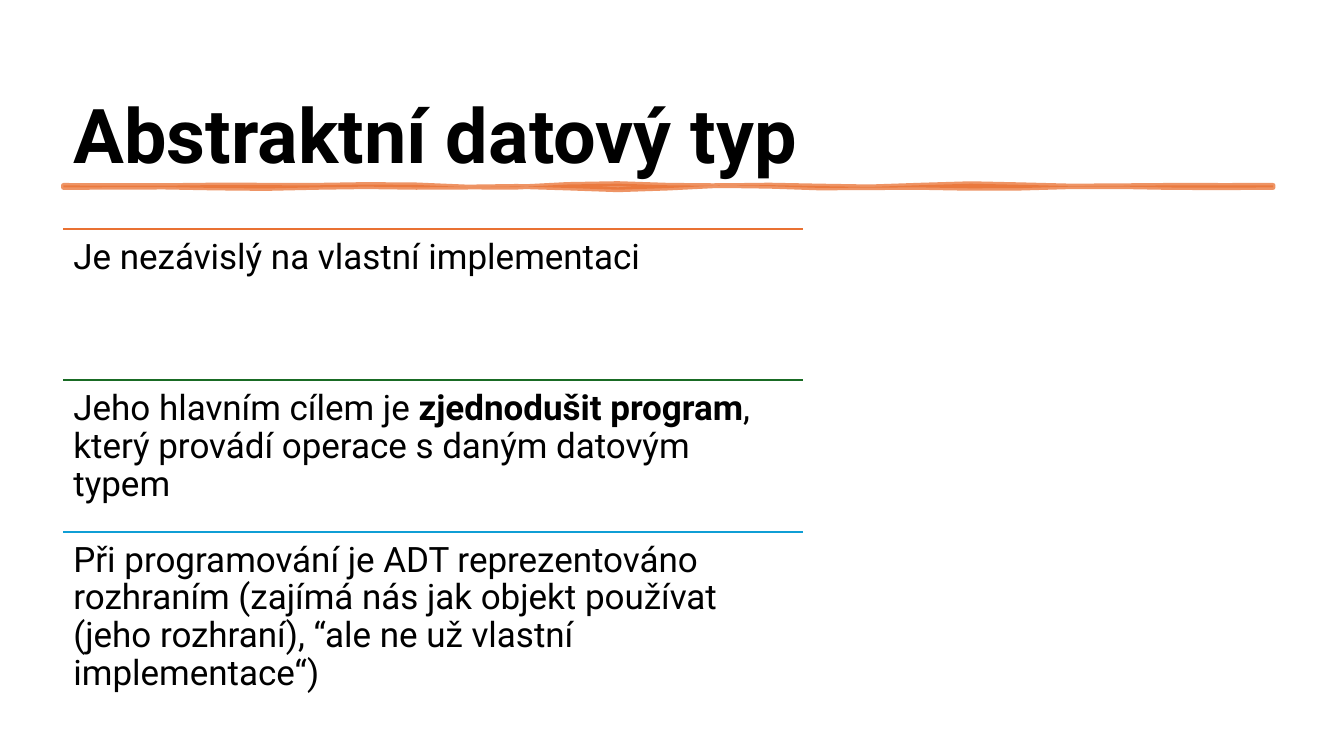
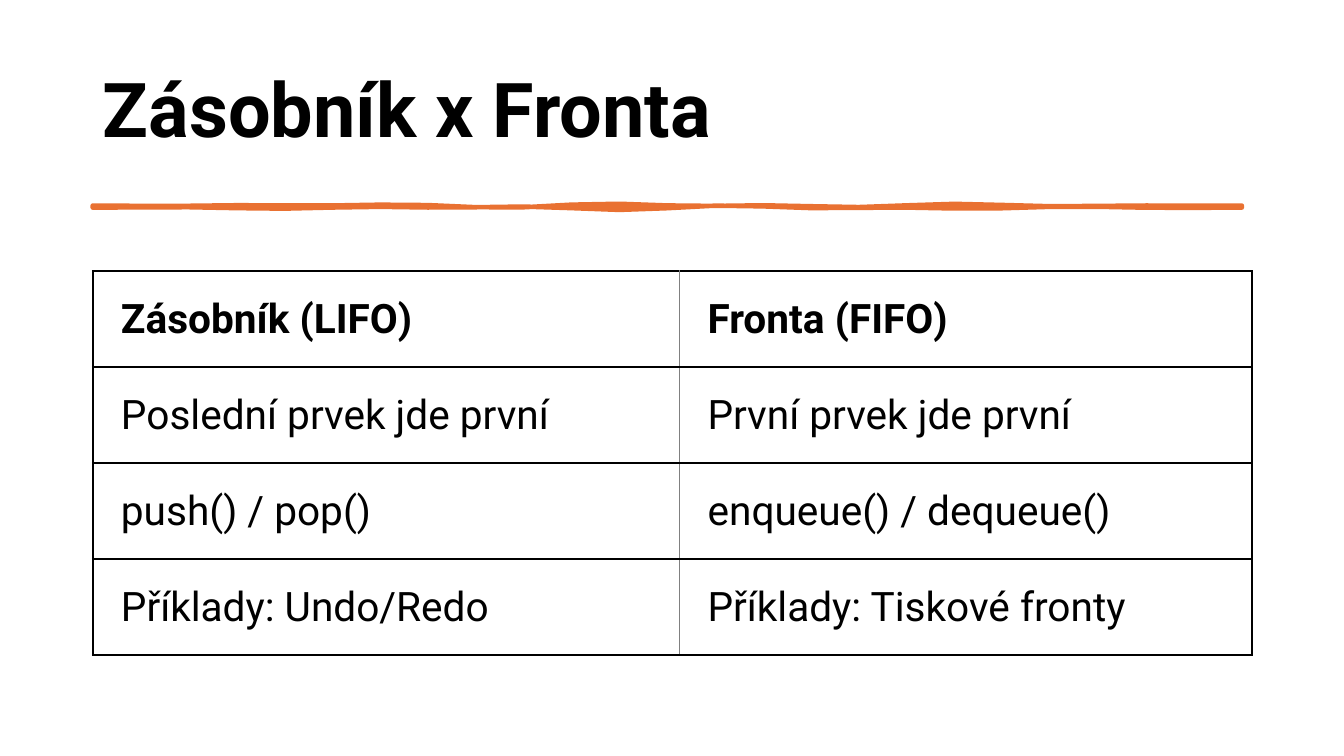
from math import pi, sin

from lxml.etree import SubElement
from pptx import Presentation
from pptx.dml.color import RGBColor
from pptx.enum.shapes import MSO_CONNECTOR
from pptx.enum.text import MSO_ANCHOR, MSO_AUTO_SIZE, PP_ALIGN
from pptx.oxml.ns import qn
from pptx.util import Inches, Pt

FONT = "Roboto"
BLACK = RGBColor(0x00, 0x00, 0x00)
GRAY = RGBColor(0x80, 0x80, 0x80)
ORANGE = RGBColor(0xE9, 0x71, 0x32)
GREEN = RGBColor(0x19, 0x6B, 0x24)
BLUE = RGBColor(0x0F, 0x9E, 0xD5)

# Each statement is a list of (text, bold) runs
STATEMENTS = [
    (ORANGE, [("Je nezávislý na vlastní implementaci", False)]),
    (GREEN, [("Jeho hlavním cílem je ", False),
             ("zjednodušit program", True),
             (", který provádí operace s daným datovým typem", False)]),
    (BLUE, [("Při programování je ADT reprezentováno rozhraním (zajímá nás "
             "jak objekt používat (jeho rozhraní), “ale ne už vlastní "
             "implementace“)", False)]),
]
COMPARISON = [
    ("Zásobník (LIFO)", "Fronta (FIFO)"),
    ("Poslední prvek jde první", "První prvek jde první"),
    ("push() / pop()", "enqueue() / dequeue()"),
    ("Příklady: Undo/Redo", "Příklady: Tiskové fronty"),
]


def inches(*values):
    return [Inches(v) for v in values]


def style_font(font, size, bold=False):
    font.name = FONT
    font.size = Pt(size)
    font.bold = bold
    font.color.rgb = BLACK


def add_title(s, text, box, anchor):
    title = s.shapes.title
    title.left, title.top, title.width, title.height = inches(*box)
    tf = title.text_frame
    tf.text = text
    tf.word_wrap = True
    tf.auto_size = MSO_AUTO_SIZE.NONE
    tf.vertical_anchor = anchor
    p = tf.paragraphs[0]
    p.alignment = PP_ALIGN.LEFT
    p.line_spacing = 0.9
    style_font(p.runs[0].font, 54, True)


def add_brush_rule(s, left, top, width, line_width, opacity=100):
    """Draw a hand-drawn stroke whose two edges waver independently."""
    steps = 24

    def edge(y, phase):
        return [(left + width * i / steps,
                 y + 0.012 * sin(pi * i / steps)
                 * (sin(i * 1.65 + phase) + sin(i * 0.95 + 2 * phase)))
                for i in range(steps + 1)]

    outline = edge(top, 0) + edge(top + 0.02, 2)[::-1]
    points = [tuple(inches(x, y)) for x, y in outline]
    builder = s.shapes.build_freeform(*points[0])
    builder.add_line_segments(points[1:], close=True)
    sp = builder.convert_to_shape()
    sp.shadow.inherit = False
    sp.fill.solid()
    sp.fill.fore_color.rgb = ORANGE
    sp.line.color.rgb = ORANGE
    sp.line.width = Pt(line_width)
    SubElement(sp.element.spPr.find(qn("a:ln")), qn("a:round"))
    if opacity < 100:
        for color in sp.element.spPr.iter(qn("a:srgbClr")):
            SubElement(color, qn("a:alpha"), val=str(opacity * 1000))


def add_statement(s, box, color, runs):
    left, top, width, height = inches(*box)
    line = s.shapes.add_connector(MSO_CONNECTOR.STRAIGHT, left, top,
                                  left + width, top)
    line.line.color.rgb = color
    line.line.width = Pt(1.5)
    SubElement(line.element.spPr, qn("a:effectLst"))

    tf = s.shapes.add_textbox(left, top, width, height).text_frame
    tf.word_wrap = True
    tf.margin_left = tf.margin_right = Inches(0.1)
    tf.margin_top = tf.margin_bottom = Inches(0.1)
    p = tf.paragraphs[0]
    p.line_spacing = 0.9
    for text, bold in runs:
        r = p.add_run()
        r.text = text
        style_font(r.font, 25, bold)


def add_statements(s, box, statements):
    left, top, width, height = box
    row = height / len(statements)
    for i, (color, runs) in enumerate(statements):
        add_statement(s, (left, top + i * row, width, row), color, runs)


def set_border(cell, side, color, width):
    ln = SubElement(cell._tc.get_or_add_tcPr(), qn(f"a:ln{side}"),
                    w=str(Pt(width)))
    fill = SubElement(ln, qn("a:solidFill"))
    SubElement(fill, qn("a:srgbClr"), val=str(color))


def format_cell(cell, text, column, last_column, bold):
    cell.margin_left, cell.margin_right = inches(0.28, 1.07)
    cell.margin_top = cell.margin_bottom = Inches(0.21)
    cell.vertical_anchor = MSO_ANCHOR.MIDDLE
    outer, inner = (BLACK, 1.5), (GRAY, 0.5)
    set_border(cell, "L", *(outer if column == 0 else inner))
    set_border(cell, "R", *(outer if column == last_column else inner))
    set_border(cell, "T", *outer)
    set_border(cell, "B", *outer)
    cell.fill.background()
    p = cell.text_frame.paragraphs[0]
    p.text = text
    style_font(p.runs[0].font, 29, bold)


def add_comparison(s, box, col_widths, rows):
    frame = s.shapes.add_table(len(rows), len(col_widths), *inches(*box))
    table = frame.table
    table.first_row = table.horz_banding = False
    for column, width in zip(table.columns, col_widths):
        column.width = Inches(width)
    for i, texts in enumerate(rows):
        for j, text in enumerate(texts):
            format_cell(table.cell(i, j), text, j, len(texts) - 1, i == 0)


def build_abstract_type(s):
    add_title(s, "Abstraktní datový typ", (0.63, 0.26, 12.05, 1.57),
              MSO_ANCHOR.BOTTOM)
    add_brush_rule(s, 0.63, 1.84, 12, 3.5, opacity=75)
    add_statements(s, (0.63, 2.27, 7.34, 4.51), STATEMENTS)


def build_stack_and_queue(s):
    add_title(s, "Zásobník x Fronta", (0.92, 0.4, 11.5, 1.45),
              MSO_ANCHOR.MIDDLE)
    add_brush_rule(s, 0.92, 2.04, 11.4, 3.25)
    add_comparison(s, (0.92, 2.69, 11.5, 3.81), (5.82, 5.68), COMPARISON)


def main():
    prs = Presentation()
    prs.slide_width, prs.slide_height = inches(40 / 3, 7.5)
    title_only = prs.slide_layouts[5]
    for build in (build_abstract_type, build_stack_and_queue):
        build(prs.slides.add_slide(title_only))
    prs.save("out.pptx")


if __name__ == "__main__":
    main()
